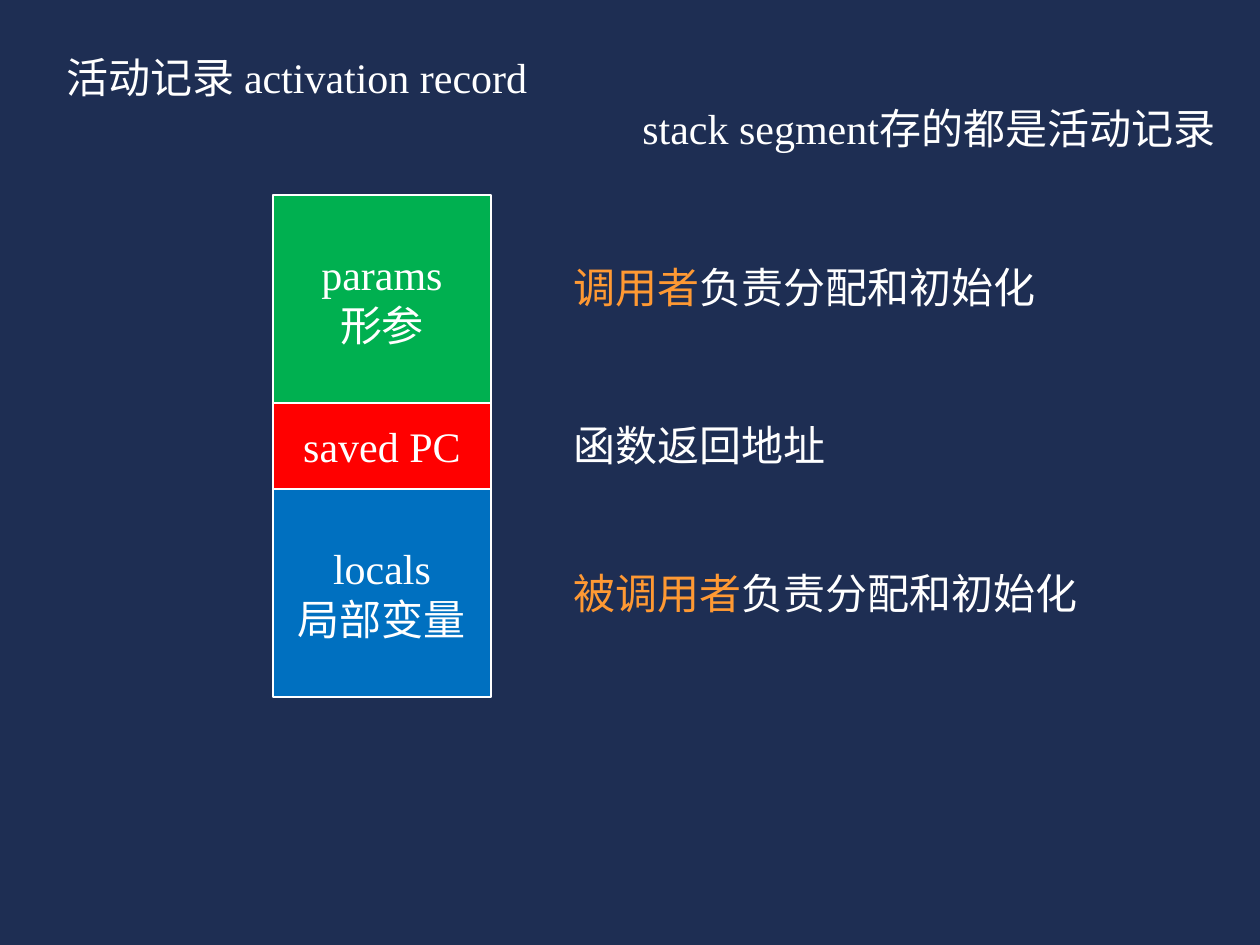
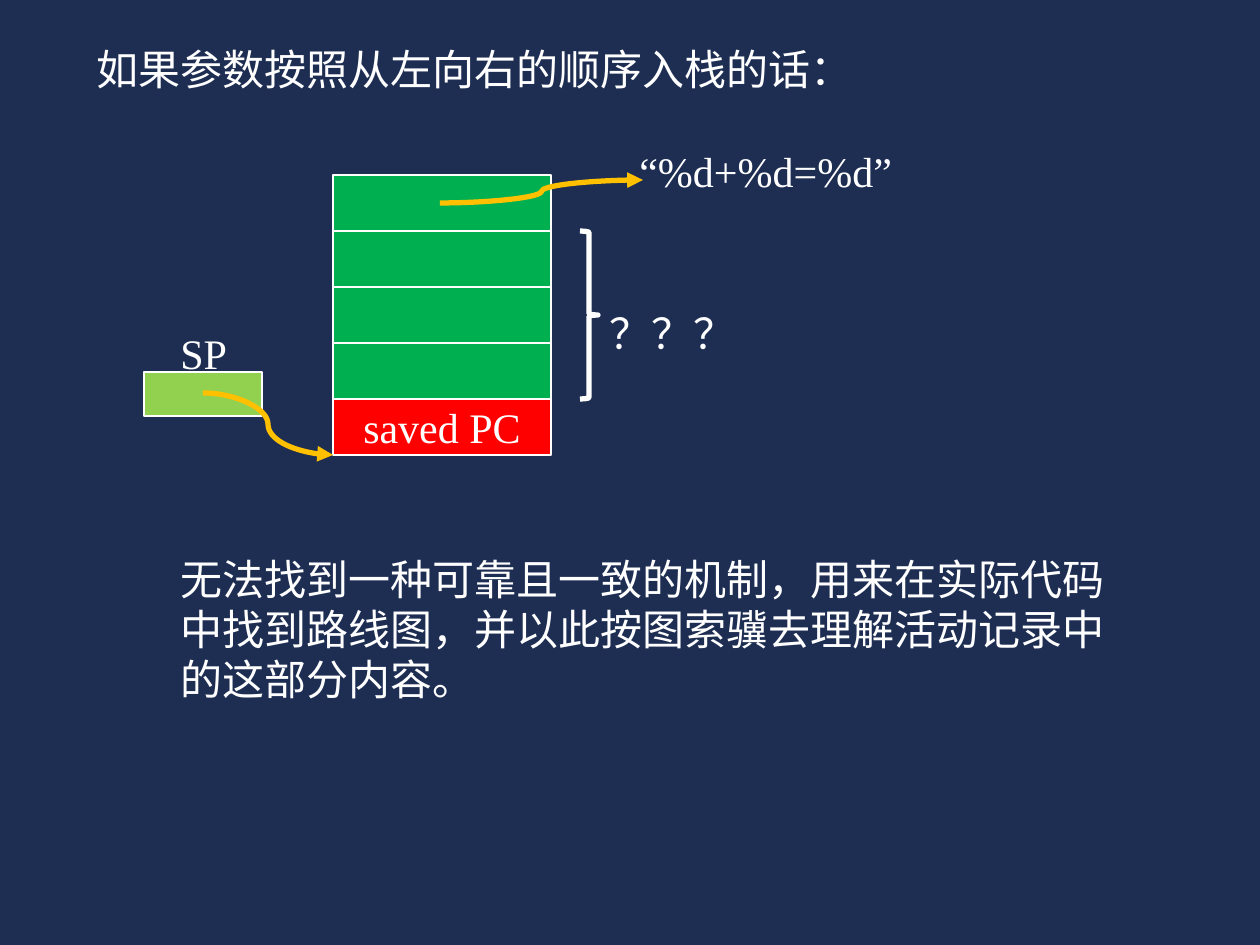
"""Build two slides on activation records and the order of stacked parameters."""
import pptx
import pptx.util
import pptx.dml.color
import pptx.enum.shapes
import pptx.enum.text
import pptx.oxml.ns
import lxml.etree

SCALE = 914400 / 126
FONT, SIZE, TEXT_H = "Times New Roman", 24, 63
COLORS = {
    "navy": "1E2E53", "white": "FFFFFF", "orange": "FF9933", "green": "00B050",
    "red": "FF0000", "blue": "0070C0", "lime": "92D050", "amber": "FFC000",
}
SHAPES = pptx.enum.shapes.MSO_SHAPE
ALIGN = pptx.enum.text.PP_ALIGN
ANCHOR = pptx.enum.text.MSO_ANCHOR

RECORD_TITLE = ("活动记录 activation record", (54, 45, 491, TEXT_H))
RECORD_X, RECORD_Y, STACK_W = 273, 195, 218
RECORD = [("params\n形参", 208, "green"), ("saved PC", 86, "red"), ("locals\n局部变量", 208, "blue")]
RECORD_NOTES = [
    ([("调用者", "orange"), ("负责分配和初始化", "white")], (561, 255, 491, TEXT_H)),
    ("函数返回地址", (561, 413, 280, TEXT_H)),
    ([("被调用者", "orange"), ("负责分配和初始化", "white")], (561, 561, 534, TEXT_H)),
    ("stack segment存的都是活动记录", (630, 96, 604, TEXT_H)),
]

ORDER_TITLE = ("如果参数按照从左向右的顺序入栈的话：", (84, 37, 789, TEXT_H))
ORDER_X, ORDER_Y, CELL_H = 333, 175, 56
ORDER = [("", CELL_H, "green")] * 4 + [("saved PC", CELL_H, "red")]
POINTER_BOX = (144, 372, 118, 44)
BRACE_BOX = (580, ORDER_Y + CELL_H, 18, 3 * CELL_H)
ORDER_NOTES = [
    ("“%d+%d=%d”", (627, 139, 280, TEXT_H)),
    ("SP", (168, 321, 73, TEXT_H)),
    ("无法找到一种可靠且一致的机制，用来在实际代码中找到路线图，并以此按图索骥去理解活动记录中的这部分内容。",
     (168, 547, 959, 165)),
    ("？？？", (597, 301, 152, TEXT_H)),
]
ARROWS = [((203, 393), (333, 455)), ((440, 203), (643, 180))]


def emu(*pixels):
    return [round(v * SCALE) for v in pixels]


def rgb(name):
    return pptx.dml.color.RGBColor.from_string(COLORS[name])


def write(sp, text, color="white", align=ALIGN.LEFT, anchor=ANCHOR.TOP, grow=True):
    tf = sp.text_frame
    tf.word_wrap = True
    tf.vertical_anchor = anchor
    if grow:
        tf.auto_size = pptx.enum.text.MSO_AUTO_SIZE.SHAPE_TO_FIT_TEXT
    lines = [[(line, color)] for line in text.split("\n")] if isinstance(text, str) else [text]
    for i, runs in enumerate(lines):
        p = tf.add_paragraph() if i else tf.paragraphs[0]
        p.alignment = align
        for words, tint in runs:
            r = p.add_run()
            r.text = words
            r.font.name = FONT
            r.font.size = pptx.util.Pt(SIZE)
            r.font.color.rgb = rgb(tint)


def add_slide(prs, title, box):
    s = prs.slides.add_slide(prs.slide_layouts[5])
    sp = s.shapes.title
    sp.left, sp.top, sp.width, sp.height = emu(*box)
    write(sp, title)
    return s


def add_notes(s, notes):
    for text, box in notes:
        write(s.shapes.add_textbox(*emu(*box)), text)


def add_shape(s, box, kind=SHAPES.RECTANGLE, fill=None, width=1):
    sp = s.shapes.add_shape(kind, *emu(*box))
    sp.shadow.inherit = False
    if fill:
        sp.fill.solid()
        sp.fill.fore_color.rgb = rgb(fill)
    else:
        sp.fill.background()
    sp.line.color.rgb = rgb("white")
    sp.line.width = pptx.util.Pt(width)
    return sp


def add_stack(s, x, y, cells):
    for text, height, fill in cells:
        sp = add_shape(s, (x, y, STACK_W, height), fill=fill)
        if text:
            write(sp, text, align=ALIGN.CENTER, anchor=ANCHOR.MIDDLE, grow=False)
        y += height


def add_arrow(s, start, end):
    kind = pptx.enum.shapes.MSO_CONNECTOR.CURVE
    sp = s.shapes.add_connector(kind, *emu(*start, *end))
    sp.line.color.rgb = rgb("amber")
    sp.line.width = pptx.util.Pt(3)
    qn = pptx.oxml.ns.qn
    lxml.etree.SubElement(sp.line._get_or_add_ln(), qn("a:tailEnd"), type="triangle")
    lxml.etree.SubElement(sp._element.spPr, qn("a:effectLst"))


prs = pptx.Presentation()
prs.slide_width, prs.slide_height = emu(1260, 945)
background = prs.slide_master.background.fill
background.solid()
background.fore_color.rgb = rgb("navy")

s = add_slide(prs, *RECORD_TITLE)
add_stack(s, RECORD_X, RECORD_Y, RECORD)
add_notes(s, RECORD_NOTES)

s = add_slide(prs, *ORDER_TITLE)
add_stack(s, ORDER_X, ORDER_Y, ORDER)
add_shape(s, POINTER_BOX, fill="lime")
add_shape(s, BRACE_BOX, kind=SHAPES.RIGHT_BRACE, width=3)
add_notes(s, ORDER_NOTES)
for start, end in ARROWS:
    add_arrow(s, start, end)

prs.save("out.pptx")
